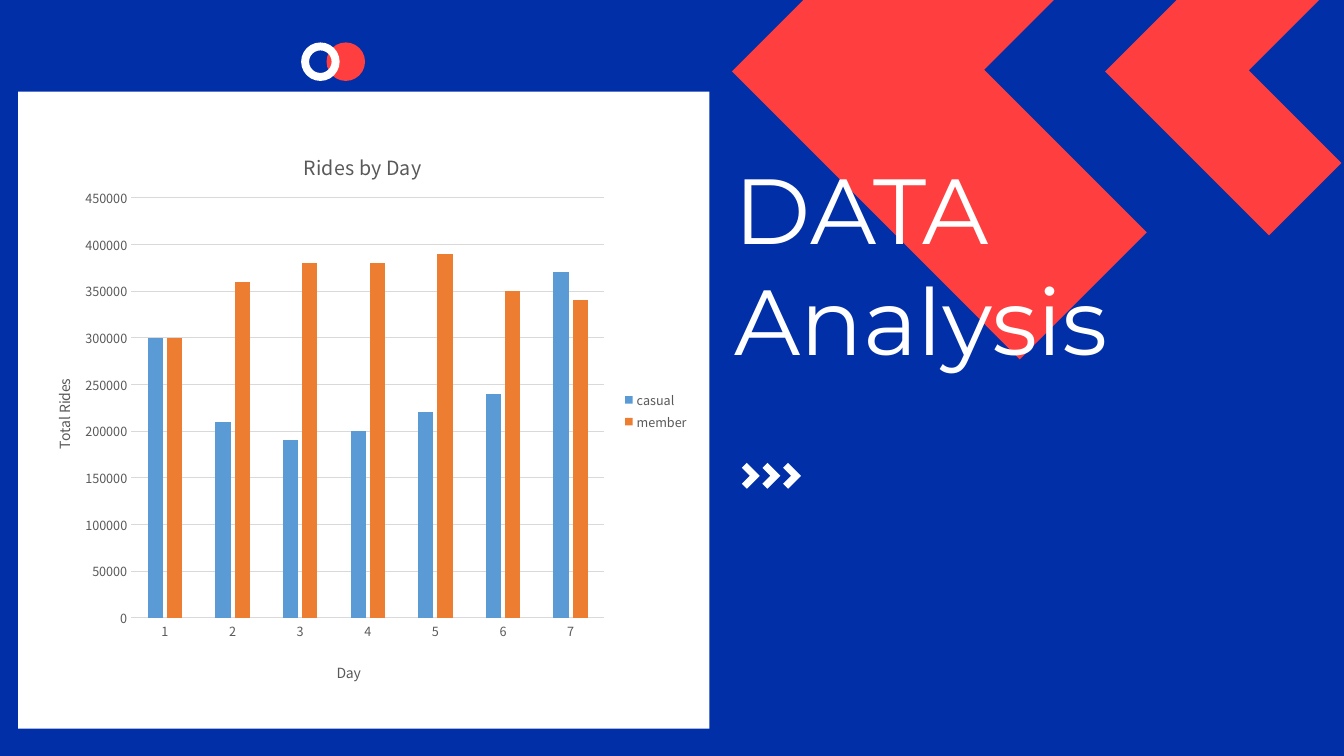
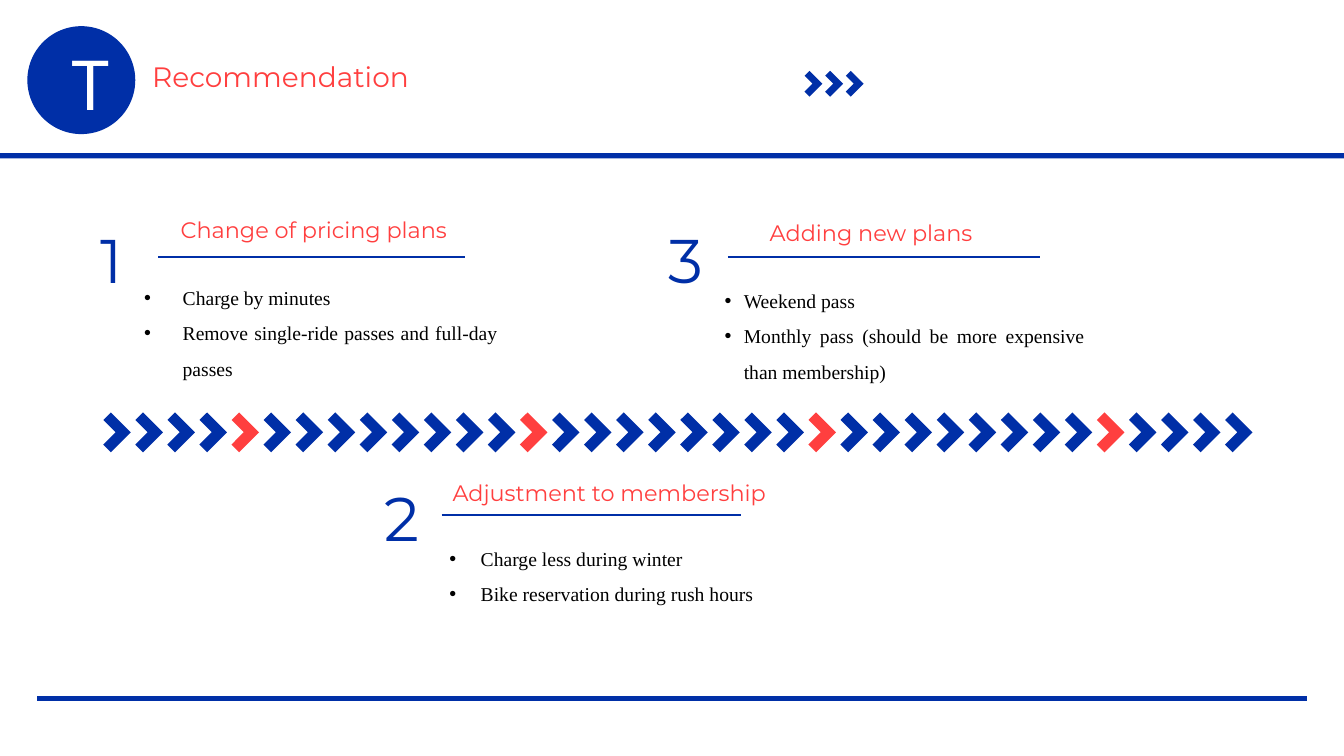
"""Build two slides on bike rides: the analysis chart and the recommendations."""
import dataclasses

import pptx
import pptx.chart.data
import pptx.dml.color
import pptx.enum.chart
import pptx.enum.shapes
import pptx.enum.text
import pptx.oxml
import pptx.oxml.ns
import pptx.util

Cm = pptx.util.Cm
SHAPE = pptx.enum.shapes.MSO_SHAPE
ALIGN = pptx.enum.text.PP_ALIGN
ANCHOR = pptx.enum.text.MSO_ANCHOR

BLUE, RED, WHITE, BLACK = "002FA7", "FF3F3F", "FFFFFF", "000000"
GREY, GRID = "595959", "D9D9D9"
DISPLAY_FONT, LIST_FONT, CHART_FONT = "Montserrat", "Times New Roman", "Noto Sans CJK SC"
SLIDE_WIDTH, SLIDE_HEIGHT = 33.87, 19.05


@dataclasses.dataclass
class Section:
    """One numbered recommendation, with its places in centimetres."""
    number: str
    heading: str
    items: list
    number_at: tuple
    heading_at: tuple
    rule: tuple
    list_at: tuple
    indent: float


SECTIONS = [
    Section("1", "Change of pricing plans",
            ["Charge by minutes", "Remove single-ride passes and full-day passes"],
            (2.29, 5.46), (3.78, 5.31, 7.74), (3.99, 11.73, 6.48),
            (3.38, 6.78, 9.42, 2.84), 0.97),
    Section("2", "Adjustment to membership",
            ["Charge less during winter", "Bike reservation during rush hours"],
            (9.45, 11.96), (10.62, 11.94, 8.94), (11.13, 18.67, 12.98),
            (11.07, 13.36, 9.19, 1.96), 0.79),
    Section("3", "Adding new plans",
            ["Weekend pass", "Monthly pass (should be more expensive than membership)"],
            (16.61, 5.46), (18.77, 5.41, 5.99), (18.34, 26.21, 6.48),
            (18.01, 6.86, 9.58, 2.84), 0.48),
]


def rgb(color):
    """Turn a hex string into a colour."""
    return pptx.dml.color.RGBColor.from_string(color)


def style_font(font, name, size, color):
    """Set the typeface, size and colour of a font."""
    font.name, font.size, font.bold = name, pptx.util.Pt(size), False
    font.color.rgb = rgb(color)


def place(shape, left, top, width, height):
    """Move and size a shape in centimetres."""
    shape.left, shape.top, shape.width, shape.height = map(Cm, (left, top, width, height))


def add_slide(presentation, layout, background):
    """Add a slide with a plain background."""
    slide = presentation.slides.add_slide(presentation.slide_layouts.get_by_name(layout))
    slide.background.fill.solid()
    slide.background.fill.fore_color.rgb = rgb(background)
    return slide


def add_block(slide, kind, box, color, rotation=0, adjustments=()):
    """Add a filled preset shape without outline or shadow."""
    shape = slide.shapes.add_shape(kind, *map(Cm, box))
    shape.fill.solid()
    shape.fill.fore_color.rgb = rgb(color)
    shape.line.fill.background()
    shape.shadow.inherit = False
    shape.rotation = rotation
    for index, value in enumerate(adjustments):
        shape.adjustments[index] = value
    return shape


def add_chevrons(slide, left, top, size, step, colors):
    """Add a row of chevrons that point right, one for each colour."""
    for index, color in enumerate(colors):
        box = (left + index * step, top, size, size)
        add_block(slide, SHAPE.CORNER, box, color, 225, (0.377, 0.388))


def add_small_chevrons(slide, left, top, color):
    """Add the three small chevrons that both slides carry."""
    add_chevrons(slide, left, top, 0.46, 0.52, [color] * 3)


def add_line(slide, start, end, y, weight):
    """Add a horizontal blue line."""
    line = slide.shapes.add_connector(
        pptx.enum.shapes.MSO_CONNECTOR.STRAIGHT, Cm(start), Cm(y), Cm(end), Cm(y))
    line.line.color.rgb = rgb(BLUE)
    line.line.width = pptx.util.Pt(weight)
    properties = line.element.spPr
    properties.append(properties.makeelement(pptx.oxml.ns.qn("a:effectLst"), {}))


def write(shape, lines, name, size, color, align=ALIGN.LEFT, anchor=ANCHOR.TOP):
    """Fill a shape with one paragraph a line, all in one style."""
    frame = shape.text_frame
    frame.text = "\n".join(lines)
    frame.word_wrap = True
    frame.auto_size = pptx.enum.text.MSO_AUTO_SIZE.NONE
    frame.vertical_anchor = anchor
    for paragraph in frame.paragraphs:
        paragraph.alignment = align
        style_font(paragraph.font, name, size, color)
    return frame


def set_title(slide, lines, box, size, color):
    """Write the title and bring it to the front."""
    title = slide.shapes.title
    place(title, *box)
    write(title, lines, DISPLAY_FONT, size, color)
    title.element.getparent().append(title.element)


def add_label(slide, text, box, size, color, align=ALIGN.LEFT):
    """Add a one-line text box in the display font."""
    label = slide.shapes.add_textbox(*map(Cm, box))
    write(label, [text], DISPLAY_FONT, size, color, align)


def fill_list(placeholder, section):
    """Write the bulleted items of a section into a body placeholder."""
    place(placeholder, *section.list_at)
    frame = write(placeholder, section.items, LIST_FONT, 14, BLACK, ALIGN.JUSTIFY)
    for paragraph in frame.paragraphs:
        paragraph.line_spacing = 1.5
        paragraph.space_before = pptx.util.Pt(0)
        properties = paragraph._p.get_or_add_pPr()
        properties.set("marL", str(Cm(section.indent)))
        properties.set("indent", str(-Cm(section.indent)))
        font = properties.find(pptx.oxml.ns.qn("a:defRPr"))
        for tag, name, value in (("a:buFont", "typeface", "Arial"), ("a:buChar", "char", "•")):
            font.addprevious(properties.makeelement(pptx.oxml.ns.qn(tag), {name: value}))


def add_section(slide, placeholder, section):
    """Add the number, heading, rule and list of a recommendation."""
    fill_list(placeholder, section)
    add_label(slide, section.number, (*section.number_at, 1.83, 2.13), 44, BLUE)
    add_label(slide, section.heading, (*section.heading_at, 0.94), 16, RED, ALIGN.RIGHT)
    add_line(slide, *section.rule, 1.5)


def set_layout(element, position, target="", **fractions):
    """Fix the place of a chart part as fractions of the chart."""
    for old in element.xpath("c:layout"):
        element.remove(old)
    modes = "".join(f'<c:{axis}Mode val="edge"/>' for axis in "xy")
    values = "".join(f'<c:{name} val="{value}"/>' for name, value in fractions.items())
    element.insert(position, pptx.oxml.parse_xml(
        f'<c:layout {pptx.oxml.ns.nsdecls("c")}><c:manualLayout>'
        f"{target}{modes}{values}</c:manualLayout></c:layout>"))


def set_chart_title(title, text, size, x, y):
    """Write and place the title of a chart or an axis."""
    title.text_frame.text = text
    style_font(title.text_frame.paragraphs[0].font, CHART_FONT, size, GREY)
    set_layout(title.element, 1, x=x, y=y)


def add_rides_chart(slide):
    """Add the column chart of rides by day."""
    enums = pptx.enum.chart
    data = pptx.chart.data.CategoryChartData()
    data.categories = list("1234567")
    data.add_series("casual", [300000, 210000, 190000, 200000, 220000, 240000, 370000])
    data.add_series("member", [300000, 360000, 380000, 380000, 390000, 350000, 340000])
    chart = slide.shapes.add_chart(enums.XL_CHART_TYPE.COLUMN_CLUSTERED,
                                   *map(Cm, (0.58, 3.1, 17.04, 14.5)), data).chart
    style_font(chart.font, CHART_FONT, 9, GREY)
    chart.has_title = True
    set_chart_title(chart.chart_title, "Rides by Day", 14, 0.41, 0.04)
    chart.has_legend = True
    chart.legend.position = enums.XL_LEGEND_POSITION.RIGHT
    chart.legend.include_in_layout = False
    style_font(chart.legend.font, CHART_FONT, 9, GREY)
    set_chart_title(chart.category_axis.axis_title, "Day", 10, 0.46, 0.93)
    set_chart_title(chart.value_axis.axis_title, "Total Rides", 10, 0.04, 0.44)
    for axis in (chart.category_axis, chart.value_axis):
        axis.major_tick_mark = axis.minor_tick_mark = enums.XL_TICK_MARK.NONE
        style_font(axis.tick_labels.font, CHART_FONT, 9, GREY)
    chart.value_axis.minimum_scale = 0
    chart.value_axis.maximum_scale = 450000
    chart.value_axis.major_unit = 50000
    chart.value_axis.format.line.fill.background()
    for line in (chart.category_axis.format.line, chart.value_axis.major_gridlines.format.line):
        line.color.rgb = rgb(GRID)
        line.width = pptx.util.Pt(0.75)
    plot = chart.plots[0]
    plot.gap_width, plot.overlap, plot.vary_by_categories = 219, -27, False
    for series, color in zip(plot.series, ("5B9BD5", "ED7D31")):
        series.format.fill.solid()
        series.format.fill.fore_color.rgb = rgb(color)
    set_layout(chart.element.xpath("c:chart/c:plotArea")[0], 0,
               '<c:layoutTarget val="inner"/>', x=0.16, y=0.13, w=0.7, h=0.73)


def build_analysis(presentation):
    """Build the slide with the chart of rides."""
    slide = add_slide(presentation, "Title Only", BLUE)
    for left, top, size in ((29.06, -1.12, 5.84), (20.57, -3.33, 10.26)):
        add_block(slide, SHAPE.CORNER, (left, top, size, size), RED, 45, (0.441, 0.435))
    add_block(slide, SHAPE.RECTANGLE, (0.46, 2.31, 17.42, 16.05), WHITE)
    add_small_chevrons(slide, 18.59, 11.76, WHITE)
    add_block(slide, SHAPE.OVAL, (8.23, 1.07, 0.97, 0.97), RED)
    add_block(slide, SHAPE.DONUT, (7.59, 1.07, 0.97, 0.97), WHITE, adjustments=(0.207,))
    add_rides_chart(slide)
    set_title(slide, ["DATA", "Analysis"], (18.26, 3.71, 10.97, 5.89), 66, WHITE)


def build_recommendation(presentation):
    """Build the slide with the three recommendations."""
    slide = add_slide(presentation, "Comparison", WHITE)
    add_small_chevrons(slide, 20.17, 1.88, BLUE)
    set_title(slide, ["Recommendation"], (3.58, 1.37, 12.37, 1.12), 20, RED)
    badge = add_block(slide, SHAPE.OVAL, (0.69, 0.66, 2.72, 2.72), BLUE)
    frame = write(badge, ["T"], CHART_FONT, 48, WHITE, ALIGN.CENTER, ANCHOR.MIDDLE)
    frame.margin_left, frame.margin_top = Cm(0.48), Cm(0.2)
    frame.margin_right = frame.margin_bottom = 0
    add_block(slide, SHAPE.RECTANGLE, (0, 3.86, SLIDE_WIDTH, 0.13), BLUE)
    add_line(slide, 0.94, 32.94, 17.6, 3)
    colors = [RED if index % 9 == 4 else BLUE for index in range(36)]
    add_chevrons(slide, 2.44, 10.54, 0.71, 28.27 / 35, colors)
    *bodies, spare = [shape for shape in slide.placeholders if shape.placeholder_format.idx]
    spare.element.getparent().remove(spare.element)
    for placeholder, section in zip(bodies, SECTIONS):
        add_section(slide, placeholder, section)


def main():
    """Build and save the presentation."""
    presentation = pptx.Presentation()
    presentation.slide_width, presentation.slide_height = Cm(SLIDE_WIDTH), Cm(SLIDE_HEIGHT)
    build_analysis(presentation)
    build_recommendation(presentation)
    presentation.save("out.pptx")


main()
